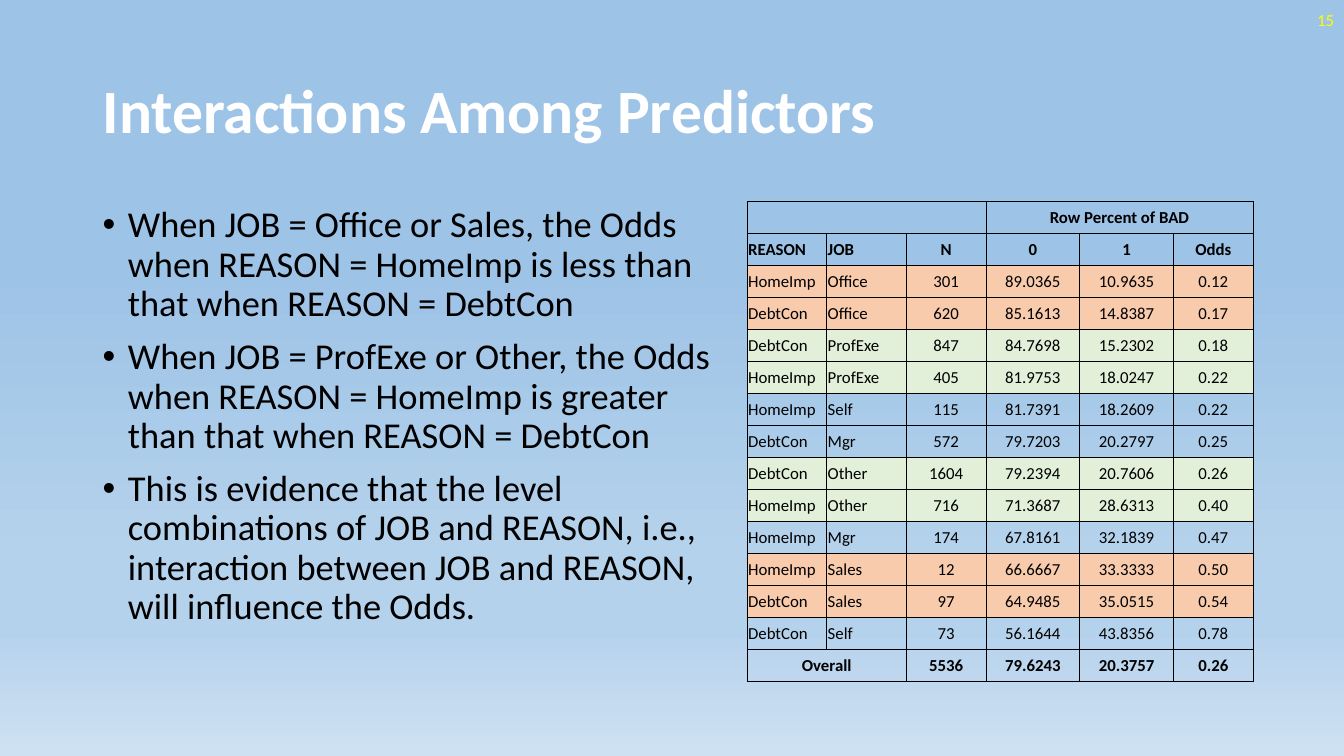
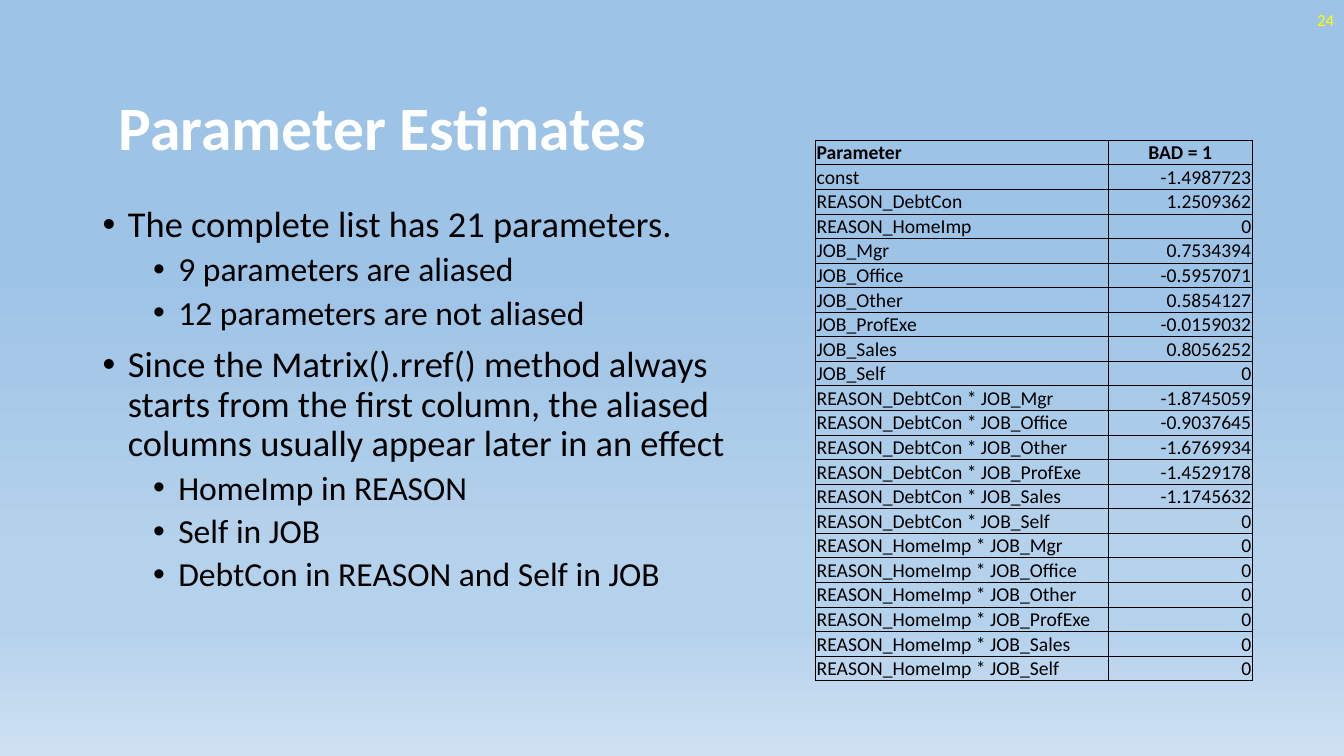
from dataclasses import dataclass
from itertools import product

from lxml.etree import SubElement
from pptx import Presentation
from pptx.dml.color import RGBColor
from pptx.enum.text import MSO_ANCHOR as Anchor, PP_ALIGN as Align
from pptx.oxml.ns import qn
from pptx.util import Inches, Pt


@dataclass(frozen=True)
class Theme:
    font: str = "Calibri"
    white: str = "FFFFFF"
    black: str = "000000"
    yellow: str = "FFFF00"
    peach: str = "F8CBAD"
    green: str = "E2F0D9"
    sky: tuple = ((35, "9DC3E6"), (74, "B5D2EC"), (83, "B5D2EC"), (100, "CEE1F2"))
    title_size: int = 44
    number_size: int = 12
    body_sizes: tuple = (26, 24)
    body_gaps: tuple = (10, 5)
    body_indents: tuple = (0.25, 0.75)
    hanging: float = 0.25
    line_spacing: float = 0.9
    border_width: float = 0.5


THEME = Theme()

JOB_FILLS = {
    "Office": THEME.peach,
    "Sales": THEME.peach,
    "ProfExe": THEME.green,
    "Other": THEME.green,
}

ODDS_ROWS = (
    ("HomeImp", "Office", "301", "89.0365", "10.9635", "0.12"),
    ("DebtCon", "Office", "620", "85.1613", "14.8387", "0.17"),
    ("DebtCon", "ProfExe", "847", "84.7698", "15.2302", "0.18"),
    ("HomeImp", "ProfExe", "405", "81.9753", "18.0247", "0.22"),
    ("HomeImp", "Self", "115", "81.7391", "18.2609", "0.22"),
    ("DebtCon", "Mgr", "572", "79.7203", "20.2797", "0.25"),
    ("DebtCon", "Other", "1604", "79.2394", "20.7606", "0.26"),
    ("HomeImp", "Other", "716", "71.3687", "28.6313", "0.40"),
    ("HomeImp", "Mgr", "174", "67.8161", "32.1839", "0.47"),
    ("HomeImp", "Sales", "12", "66.6667", "33.3333", "0.50"),
    ("DebtCon", "Sales", "97", "64.9485", "35.0515", "0.54"),
    ("DebtCon", "Self", "73", "56.1644", "43.8356", "0.78"),
)

REASONS = ("REASON_DebtCon", "REASON_HomeImp")
JOBS = ("JOB_Mgr", "JOB_Office", "JOB_Other", "JOB_ProfExe", "JOB_Sales", "JOB_Self")
PARAMETERS = ("const", *REASONS, *JOBS, *map(" * ".join, product(REASONS, JOBS)))
ESTIMATES = (
    "-1.4987723", "1.2509362", "0",
    "0.7534394", "-0.5957071", "0.5854127", "-0.0159032", "0.8056252", "0",
    "-1.8745059", "-0.9037645", "-1.6769934", "-1.4529178", "-1.1745632", "0",
    *["0"] * len(JOBS),
)


def write(para, text, size, color=THEME.black, bold=False, align=Align.LEFT, spacing=None):
    para.alignment = align
    if spacing:
        para.line_spacing = spacing
    span = para.add_run()
    span.text = text
    span.font.name = THEME.font
    span.font.size = Pt(size)
    span.font.bold = bold
    span.font.color.rgb = RGBColor.from_string(color)


def add_text_frame(page, box, anchor=Anchor.MIDDLE):
    frame = page.shapes.add_textbox(*map(Inches, box)).text_frame
    frame.word_wrap = True
    frame.vertical_anchor = anchor
    return frame


def paint_background(master):
    fill = master.background.fill
    fill.gradient()
    fill.gradient_angle = 270
    stops = master.element.xpath(".//p:bg//a:gsLst")[0]
    for stop in list(stops):
        stops.remove(stop)
    for percent, color in THEME.sky:
        stop = SubElement(stops, qn("a:gs"), pos=str(percent * 1000))
        SubElement(stop, qn("a:srgbClr"), val=color)


def add_bullets(page, box, items):
    frame = add_text_frame(page, box, Anchor.TOP)
    for index, (level, text) in enumerate(items):
        para = frame.add_paragraph() if index else frame.paragraphs[0]
        para.level = level
        para.space_before = Pt(THEME.body_gaps[level])
        write(para, text, THEME.body_sizes[level], spacing=THEME.line_spacing)
        properties = para._p.get_or_add_pPr()
        properties.set("marL", str(Inches(THEME.body_indents[level])))
        properties.set("indent", str(-Inches(THEME.hanging)))
        SubElement(properties, qn("a:buFont"), typeface="Arial")
        SubElement(properties, qn("a:buChar"), char="•")


def draw_borders(cell):
    properties = cell._tc.get_or_add_tcPr()
    for side in ("lnL", "lnR", "lnT", "lnB"):
        line = SubElement(properties, qn(f"a:{side}"), w=str(Pt(THEME.border_width)))
        paint = SubElement(line, qn("a:solidFill"))
        SubElement(paint, qn("a:srgbClr"), val=THEME.black)


def add_grid(page, box, widths, rows, size, aligns, anchor, bold_rows, fills=None):
    frame = page.shapes.add_table(len(rows), len(widths), *map(Inches, box))
    table = frame.table
    table.first_row = table.horz_banding = False
    for column, width in zip(table.columns, widths):
        column.width = Inches(width)
    for number, texts in enumerate(rows):
        table.rows[number].height = Inches(box[3] / len(rows))
        color = (fills or {}).get(texts[1])
        for position, (text, align) in enumerate(zip(texts, aligns)):
            cell = table.cell(number, position)
            cell.margin_left = cell.margin_right = cell.margin_top = Inches(0.01)
            cell.margin_bottom = 0
            cell.vertical_anchor = anchor
            draw_borders(cell)
            if color:
                cell.fill.solid()
                cell.fill.fore_color.rgb = RGBColor.from_string(color)
            else:
                cell.fill.background()
            if text:
                write(cell.text_frame.paragraphs[0], text, size,
                      bold=number in bold_rows, align=align)
    return table


def add_odds_table(page, box):
    rows = (
        ("", "", "", "Row Percent of BAD", "", ""),
        ("REASON", "JOB", "N", "0", "1", "Odds"),
        *ODDS_ROWS,
        ("Overall", "", "5536", "79.6243", "20.3757", "0.26"),
    )
    last = len(rows) - 1
    table = add_grid(
        page, box, (0.79, 0.79, 0.79, 0.93, 0.93, 0.79), rows, size=12,
        aligns=[Align.LEFT] * 2 + [Align.CENTER] * 4,
        anchor=Anchor.MIDDLE, bold_rows=(0, 1, last), fills=JOB_FILLS,
    )
    for row, start, end in ((0, 0, 2), (0, 3, 5), (last, 0, 1)):
        table.cell(row, start).merge(table.cell(row, end))
    table.cell(last, 0).text_frame.paragraphs[0].alignment = Align.CENTER


def add_estimates_table(page, box):
    rows = (("Parameter", "BAD = 1"), *zip(PARAMETERS, ESTIMATES))
    table = add_grid(
        page, box, (2.9, 1.43), rows, size=14,
        aligns=(Align.LEFT, Align.RIGHT), anchor=Anchor.BOTTOM, bold_rows=(0,),
    )
    table.cell(0, 1).text_frame.paragraphs[0].alignment = Align.CENTER


def add_page(deck, title, title_box, number):
    page = deck.slides.add_slide(deck.slide_layouts[6])
    write(add_text_frame(page, title_box).paragraphs[0], title, THEME.title_size,
          color=THEME.white, bold=True, spacing=THEME.line_spacing)
    write(add_text_frame(page, (10.33, 0, 3, 0.4)).paragraphs[0], number,
          THEME.number_size, color=THEME.yellow, align=Align.RIGHT)
    return page


def add_interactions_page(deck):
    page = add_page(deck, "Interactions Among Predictors", (0.92, 0.4, 11.5, 1.45), "15")
    add_bullets(page, (0.92, 2, 6.49, 4.76), (
        (0, "When JOB = Office or Sales, the Odds when REASON = HomeImp is less than "
            "that when REASON = DebtCon"),
        (0, "When JOB = ProfExe or Other, the Odds when REASON = HomeImp is greater "
            "than that when REASON = DebtCon"),
        (0, "This is evidence that the level combinations of JOB and REASON, i.e., "
            "interaction between JOB and REASON, will influence the Odds."),
    ))
    add_odds_table(page, (7.41, 2, 5.02, 4.76))


def add_estimates_page(deck):
    page = add_page(deck, "Parameter Estimates", (1.08, 0.57, 11.5, 1.45), "24")
    add_bullets(page, (0.92, 2, 6.78, 4.76), (
        (0, "The complete list has 21 parameters."),
        (1, "9 parameters are aliased"),
        (1, "12 parameters are not aliased"),
        (0, "Since the Matrix().rref() method always starts from the first column, "
            "the aliased columns usually appear later in an effect"),
        (1, "HomeImp in REASON"),
        (1, "Self in JOB"),
        (1, "DebtCon in REASON and Self in JOB"),
    ))
    add_estimates_table(page, (8.09, 1.39, 4.33, 5.36))


def main():
    deck = Presentation()
    deck.slide_width = Inches(13.33)
    deck.slide_height = Inches(7.5)
    paint_background(deck.slide_master)
    add_interactions_page(deck)
    add_estimates_page(deck)
    deck.save("out.pptx")


if __name__ == "__main__":
    main()
